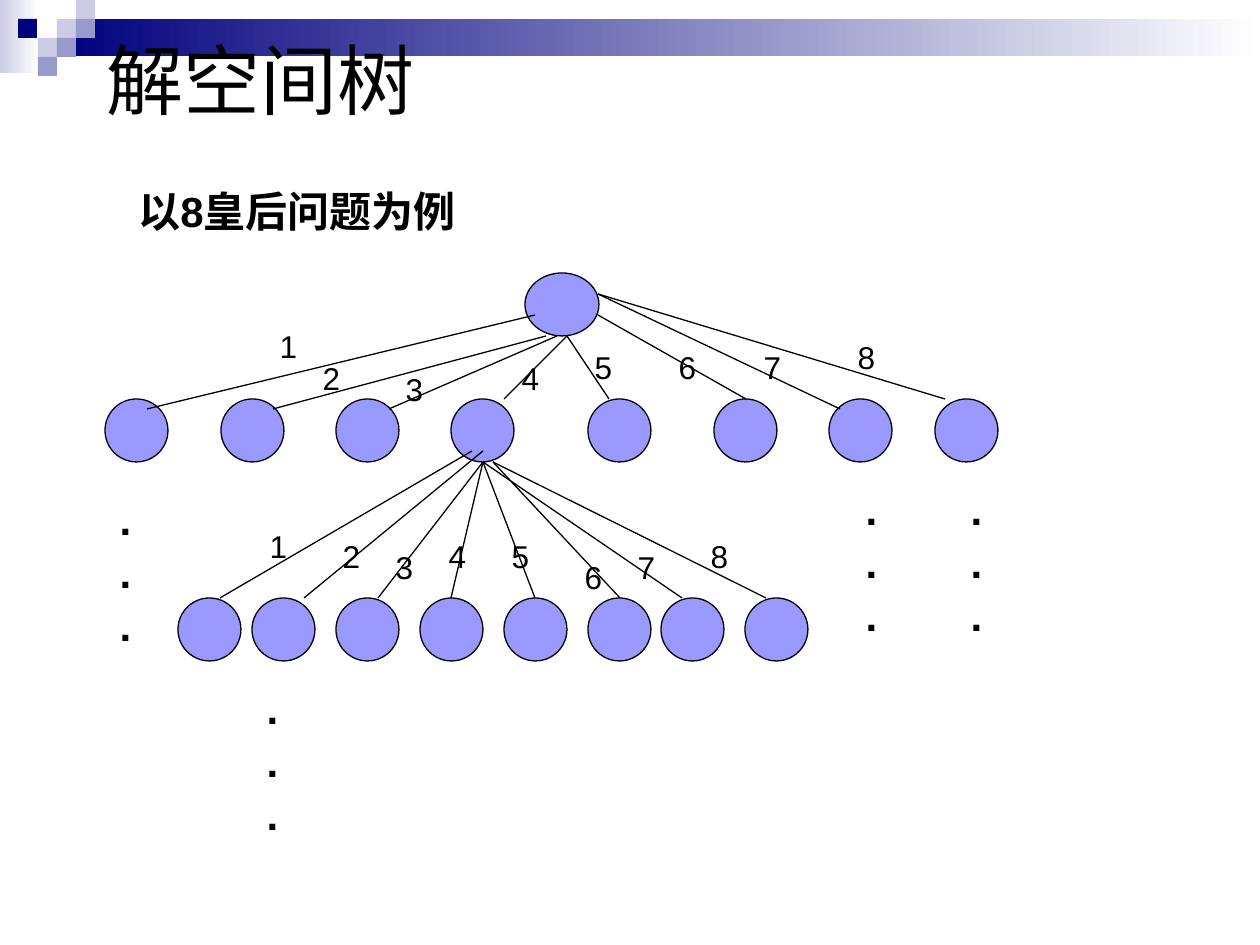
from lxml import etree
from pptx import Presentation
from pptx.dml.color import RGBColor
from pptx.enum.shapes import MSO_CONNECTOR, MSO_SHAPE
from pptx.enum.text import MSO_ANCHOR, PP_ALIGN
from pptx.oxml.ns import qn
from pptx.util import Emu, Pt

RECT, OVAL = MSO_SHAPE.RECTANGLE, MSO_SHAPE.OVAL
STRAIGHT = MSO_CONNECTOR.STRAIGHT
TOP, MIDDLE = MSO_ANCHOR.TOP, MSO_ANCHOR.MIDDLE
LEFT, CENTER = PP_ALIGN.LEFT, PP_ALIGN.CENTER

FONT = "Arial"
BLACK, WHITE, NODE = "000000", "FFFFFF", "9999FF"
NAVY, LILAC, VIOLET = "00007D", "CCCCE6", "9999CC"

BANDS = [((0, 0, 39, 73), LILAC), ((57, 19, 1203, 37), NAVY)]
TILE = 19
TILES = [
    (57, 19, LILAC), (76, 0, LILAC), (76, 19, VIOLET), (38, 38, LILAC),
    (18, 19, NAVY), (57, 38, VIOLET), (38, 57, VIOLET),
]

TITLE = "解空间树"
HEADING = "以8皇后问题为例"

DIAMETER = 63
ROOT = (525, 273, 74, DIAMETER)
LEVELS = [
    {
        "top": 399,
        "nodes": [105, 221, 336, 451, 588, 714, 829, 935],
        "edges": [
            (535, 315, 147, 409), (546, 336, 273, 409),
            (557, 336, 389, 409), (567, 336, 504, 399),
            (567, 336, 609, 399), (598, 315, 746, 399),
            (598, 294, 840, 409), (598, 294, 945, 399),
        ],
        "labels": [(262, 325), (305, 357), (388, 368), (504, 357),
                   (577, 346), (661, 346), (746, 346), (840, 336)],
    },
    {
        "top": 598,
        "nodes": [178, 252, 336, 420, 504, 588, 661, 745],
        "edges": [
            (472, 451, 220, 598), (483, 451, 304, 598),
            (483, 462, 378, 598), (483, 462, 451, 598),
            (483, 462, 535, 598), (493, 462, 620, 598),
            (483, 462, 682, 598), (493, 462, 766, 598),
        ],
        "labels": [(252, 525), (325, 535), (378, 546), (431, 535),
                   (494, 535), (567, 556), (620, 546), (693, 535)],
    },
]
DOTS = [(94, 493), (840, 483), (945, 483), (241, 682)]


def px(n):
    return Emu(round(n * 914400 / 126))


def rgb(value):
    return RGBColor.from_string(value)


def add_shape(slide, kind, box, color, fade=None, outline=None):
    sp = slide.shapes.add_shape(kind, *map(px, box))
    sp.shadow.inherit = False
    if fade:
        sp.fill.gradient()
        sp.fill.gradient_angle = 0
        for stop, c in zip(sp.fill.gradient_stops, (color, fade)):
            stop.color.rgb = rgb(c)
    else:
        sp.fill.solid()
        sp.fill.fore_color.rgb = rgb(color)
    if outline:
        sp.line.color.rgb = rgb(outline)
        sp.line.width = Pt(0.75)
    else:
        sp.line.fill.background()


def add_edge(slide, points):
    line = slide.shapes.add_connector(STRAIGHT, *map(px, points))
    line.line.color.rgb = rgb(BLACK)
    line.line.width = Pt(0.75)
    etree.SubElement(line._element.spPr, qn("a:effectLst"))


def add_text(slide, box, lines, size, bold=False, align=CENTER, anchor=MIDDLE, wrap=False):
    tf = slide.shapes.add_textbox(*map(px, box)).text_frame
    tf.word_wrap = wrap
    tf.vertical_anchor = anchor
    for i, text in enumerate(lines):
        p = tf.add_paragraph() if i else tf.paragraphs[0]
        p.alignment = align
        if i:
            p.space_before = Pt(1.5)
        r = p.add_run()
        r.text = text
        r.font.name = FONT
        r.font.size = Pt(size)
        r.font.bold = bold
        r.font.color.rgb = rgb(BLACK)


def main():
    prs = Presentation()
    prs.slide_width, prs.slide_height = px(1260), px(945)
    s = prs.slides.add_slide(prs.slide_layouts[6])

    for box, color in BANDS:
        add_shape(s, RECT, box, color, fade=WHITE)
    for x, y, color in TILES:
        add_shape(s, RECT, (x, y, TILE, TILE), color)

    add_text(s, (94, 0, 1071, 158), [TITLE], 44, align=LEFT, wrap=True)
    add_text(s, (126, 179, 777, 63), [HEADING], 24, bold=True,
             align=LEFT, anchor=TOP, wrap=True)

    add_shape(s, OVAL, ROOT, NODE, outline=BLACK)
    for level in LEVELS:
        for x in level["nodes"]:
            add_shape(s, OVAL, (x, level["top"], DIAMETER, DIAMETER), NODE, outline=BLACK)
    for level in LEVELS:
        for points in level["edges"]:
            add_edge(s, points)
        for column, (x, y) in enumerate(level["labels"], 1):
            add_text(s, (x, y, 53, 42), [str(column)], 18)
    for x, y in DOTS:
        add_text(s, (x, y, 63, 158), ["."] * 3, 24, bold=True)

    prs.save("out.pptx")


if __name__ == "__main__":
    main()
